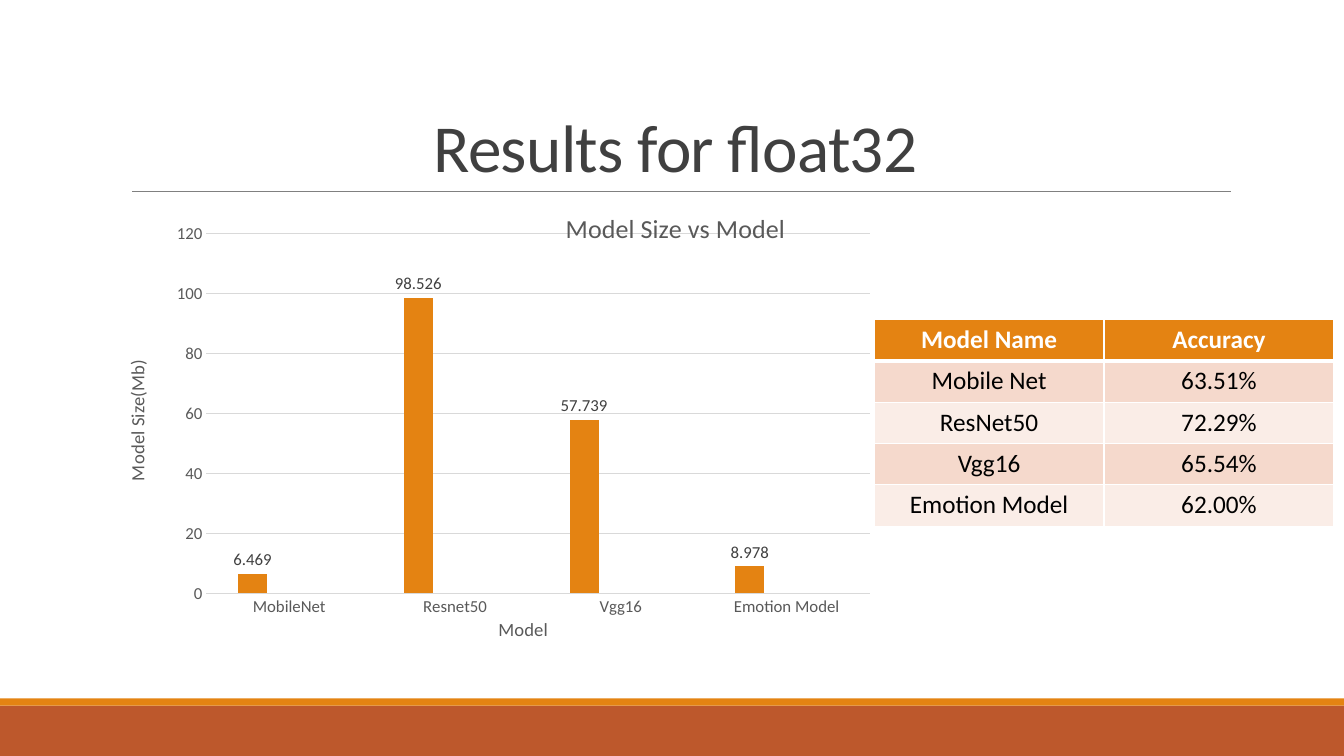
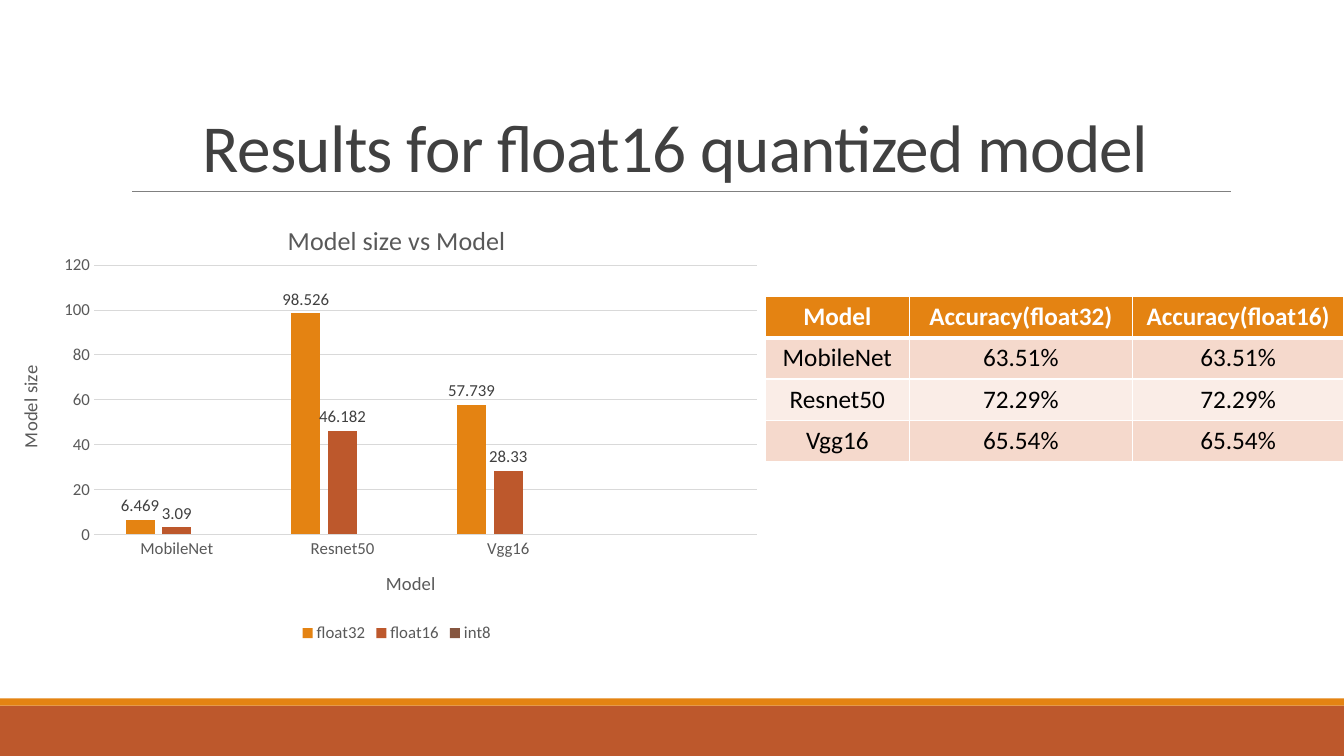
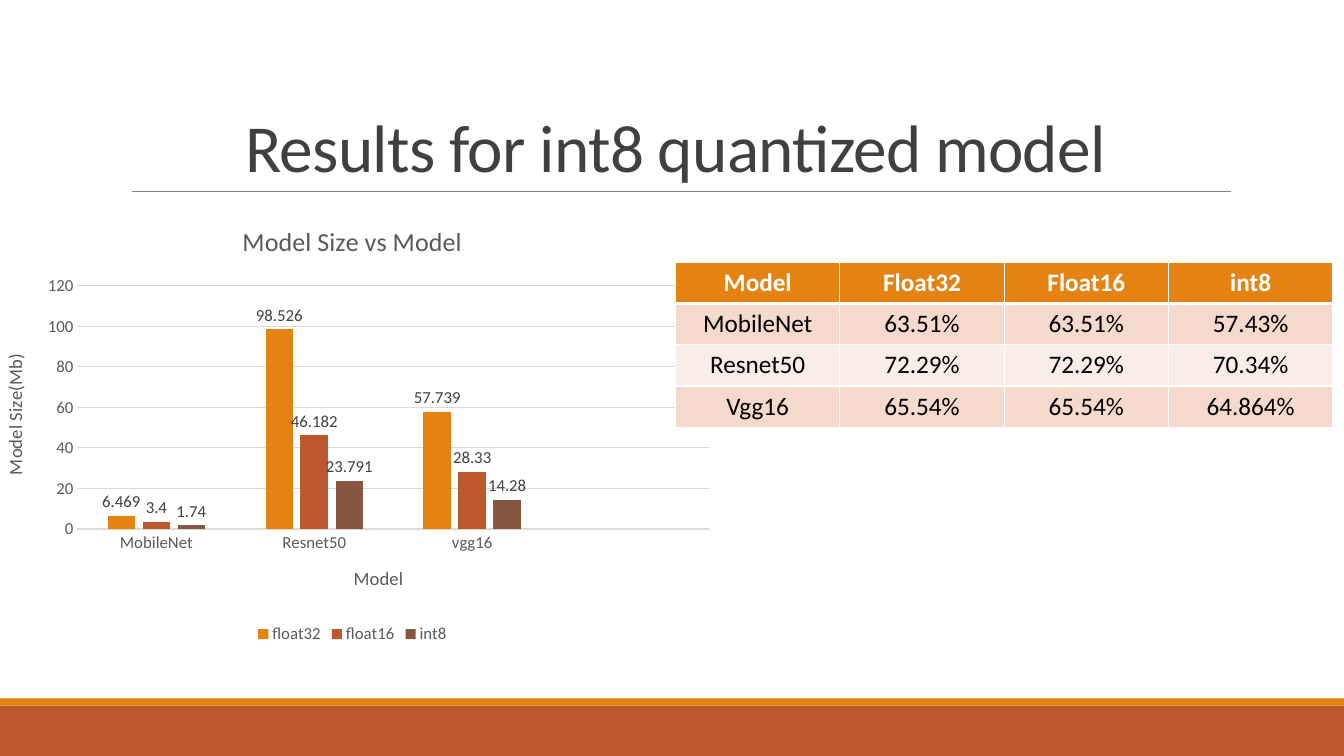
from dataclasses import dataclass
from pptx import Presentation
from pptx.chart.data import CategoryChartData
from pptx.dml.color import RGBColor
from pptx.enum.chart import XL_CHART_TYPE, XL_LABEL_POSITION, XL_LEGEND_POSITION, XL_TICK_MARK
from pptx.enum.shapes import MSO_CONNECTOR, MSO_SHAPE
from pptx.enum.text import MSO_ANCHOR, PP_ALIGN
from pptx.oxml.ns import qn
from pptx.util import Inches, Pt
from lxml.etree import SubElement, Element


@dataclass(frozen=True)
class Theme:
    font: str = "Calibri"
    orange: str = "E48312"
    rust: str = "BD582C"
    brown: str = "865640"
    band_dark: str = "F5D9CC"
    band_light: str = "FAEDE7"
    title: str = "404040"
    muted: str = "595959"
    rule: str = "808080"
    grid: str = "D9D9D9"
    white: str = "FFFFFF"
    black: str = "000000"
    title_size: float = 48
    table_size: float = 18
    chart_title_size: float = 18.6
    axis_title_size: float = 13.3
    label_size: float = 12


T = Theme()
W, H = 13.33, 7.5
ROW_H = 0.41


def rgb(value):
    return RGBColor.from_string(value)


def style_font(font, size, color, bold=False):
    font.name, font.size, font.bold = T.font, Pt(size), bold
    font.color.rgb = rgb(color)


# Shared frame: bottom bands, title and rule
def add_band(s, top, height, color):
    band = s.shapes.add_shape(MSO_SHAPE.RECTANGLE, 0, Inches(top), Inches(W), Inches(height))
    band.shadow.inherit = False
    band.fill.solid()
    band.fill.fore_color.rgb = rgb(color)
    band.line.fill.background()


def add_title(s, text, left, top, width, height):
    tf = s.shapes.add_textbox(Inches(left), Inches(top), Inches(width), Inches(height)).text_frame
    tf.word_wrap = True
    tf.vertical_anchor = MSO_ANCHOR.BOTTOM
    p = tf.paragraphs[0]
    p.text = text
    p.alignment = PP_ALIGN.CENTER
    p.line_spacing = 0.85
    r = p.runs[0]
    style_font(r.font, T.title_size, T.title)
    r.font._element.set("spc", "-50")

    bottom = Inches(top + height)
    rule = s.shapes.add_connector(MSO_CONNECTOR.STRAIGHT, Inches(left + 0.11), bottom,
                                  Inches(left + width + 0.01), bottom)
    rule.line.color.rgb = rgb(T.rule)
    rule.line.width = Pt(0.5)
    SubElement(rule._element.spPr, qn("a:effectLst"))


# Column chart
def set_chart_title(holder, text, size):
    tf = holder.text_frame
    tf.text = text
    style_font(tf.paragraphs[0].runs[0].font, size, T.muted)
    return tf


def style_axis(axis, title):
    axis.major_tick_mark = axis.minor_tick_mark = XL_TICK_MARK.NONE
    style_font(axis.tick_labels.font, T.label_size, T.muted)
    return set_chart_title(axis.axis_title, title, T.axis_title_size)


def set_plot_area(chart, box):
    area = chart._chartSpace.chart.plotArea
    for old in area.findall(qn("c:layout")):
        area.remove(old)
    layout = Element(qn("c:layout"))
    manual = SubElement(layout, qn("c:manualLayout"))
    settings = [("layoutTarget", "inner"), ("xMode", "edge"), ("yMode", "edge")]
    for tag, value in settings + list(zip("xywh", box)):
        SubElement(manual, qn(f"c:{tag}")).set("val", str(value))
    area.insert(0, layout)


def add_size_chart(s, box, title, value_title, categories, series, plot_box=None, legend=True):
    data = CategoryChartData()
    data.categories = categories
    for name, values in series:
        data.add_series(name, values)
    chart = s.shapes.add_chart(XL_CHART_TYPE.COLUMN_CLUSTERED, *map(Inches, box), data).chart
    style_font(chart.font, T.label_size, T.muted)
    set_chart_title(chart.chart_title, title, T.chart_title_size)

    style_axis(chart.category_axis, "Model")
    chart.category_axis.format.line.color.rgb = rgb(T.grid)
    chart.category_axis.format.line.width = Pt(0.75)
    axis = chart.value_axis
    tf = style_axis(axis, value_title)
    tf._txBody.bodyPr.set("rot", "-5400000")
    tf._txBody.bodyPr.set("vert", "horz")
    axis.minimum_scale, axis.maximum_scale, axis.major_unit = 0, 120, 20
    axis.format.line.fill.background()
    axis.major_gridlines.format.line.color.rgb = rgb(T.grid)
    axis.major_gridlines.format.line.width = Pt(0.75)

    plot = chart.plots[0]
    plot.gap_width, plot.overlap, plot.vary_by_categories = 219, -27, False
    for column, color in zip(plot.series, (T.orange, T.rust, T.brown)):
        column.format.fill.solid()
        column.format.fill.fore_color.rgb = rgb(color)
        column.invert_if_negative = False
        labels = column.data_labels
        labels.show_value = True
        labels.position = XL_LABEL_POSITION.OUTSIDE_END
        style_font(labels.font, T.label_size, T.title)

    chart.has_legend = legend
    if legend:
        chart.legend.position = XL_LEGEND_POSITION.BOTTOM
        chart.legend.include_in_layout = False
        style_font(chart.legend.font, T.label_size, T.muted)
    if plot_box:
        set_plot_area(chart, plot_box)


# Accuracy table
def set_borders(cell, top, bottom):
    tcPr = cell._tc.get_or_add_tcPr()
    for i, (side, width) in enumerate(zip("LRTB", (1, 1, top, bottom))):
        ln = Element(qn(f"a:ln{side}"), w=str(Pt(width)))
        fill = SubElement(ln, qn("a:solidFill"))
        SubElement(fill, qn("a:srgbClr")).set("val", T.white)
        tcPr.insert(i, ln)


def add_accuracy_table(s, left, top, widths, rows):
    table = s.shapes.add_table(len(rows), len(widths), Inches(left), Inches(top),
                               Inches(sum(widths)), Inches(ROW_H * len(rows))).table
    for col, width in zip(table.columns, widths):
        col.width = Inches(width)
    for i, values in enumerate(rows):
        header = i == 0
        table.rows[i].height = Inches(ROW_H)
        color = T.orange if header else (T.band_light, T.band_dark)[i % 2]
        for j, value in enumerate(values):
            cell = table.cell(i, j)
            cell.fill.solid()
            cell.fill.fore_color.rgb = rgb(color)
            set_borders(cell, 3 if i == 1 else 1, 3 if header else 1)
            p = cell.text_frame.paragraphs[0]
            p.text = value
            p.alignment = PP_ALIGN.CENTER
            style_font(p.runs[0].font, T.table_size, T.white if header else T.black, header)


def add_results_slide(prs, title, chart, table):
    s = prs.slides.add_slide(prs.slide_layouts[6])
    add_band(s, 7, 0.5, T.rust)
    add_band(s, 6.93, 0.07, T.orange)
    add_title(s, title, 1.2, 0.31, 11, 1.59)
    add_size_chart(s, **chart)
    add_accuracy_table(s, **table)


def main():
    prs = Presentation()
    prs.slide_width, prs.slide_height = Inches(W), Inches(H)
    empty = [None] * 4
    float32_sizes = [6.469, 98.526, 57.739, None]

    add_results_slide(
        prs, "Results for float32",
        chart=dict(box=(1.2, 1.9, 11, 4.52), title="Model Size vs Model",
                   value_title="Model Size(Mb)", legend=False,
                   plot_box=(0.077, 0.092, 0.598, 0.79),
                   categories=["MobileNet", "Resnet50", "Vgg16", "Emotion Model"],
                   series=[("Series 1", float32_sizes[:3] + [8.978]),
                           ("Series 2", empty), ("Series 3", empty)]),
        table=dict(left=8.67, top=3.17, widths=[2.28] * 2,
                   rows=[("Model Name", "Accuracy"), ("Mobile Net", "63.51%"),
                         ("ResNet50", "72.29%"), ("Vgg16", "65.54%"),
                         ("Emotion Model", "62.00%")]))

    add_results_slide(
        prs, "Results for float16 quantized model",
        chart=dict(box=(-0.08, 2.02, 8.03, 4.4), title="Model size vs Model",
                   value_title="Model size", plot_box=(0.126, 0.139, 0.819, 0.607),
                   categories=["MobileNet", "Resnet50", "Vgg16", ""],
                   series=[("float32", float32_sizes),
                           ("float16", [3.09, 46.182, 28.33, None]), ("int8", empty)]),
        table=dict(left=7.59, top=2.94, widths=[1.43, 2.21, 2.1],
                   rows=[("Model", "Accuracy(float32)", "Accuracy(float16)"),
                         ("MobileNet", "63.51%", "63.51%"),
                         ("Resnet50", "72.29%", "72.29%"),
                         ("Vgg16", "65.54%", "65.54%")]))

    add_results_slide(
        prs, "Results for int8 quantized model",
        chart=dict(box=(-0.19, 2.03, 7.37, 4.4), title="Model Size vs Model",
                   value_title="Model Size(Mb)",
                   categories=["MobileNet", "Resnet50", "vgg16", ""],
                   series=[("float32", float32_sizes),
                           ("float16", [3.4, 46.182, 28.33, None]),
                           ("int8", [1.74, 23.791, 14.28, None])]),
        table=dict(left=6.7, top=2.6, widths=[1.63] * 4,
                   rows=[("Model", "Float32", "Float16", "int8"),
                         ("MobileNet", "63.51%", "63.51%", "57.43%"),
                         ("Resnet50", "72.29%", "72.29%", "70.34%"),
                         ("Vgg16", "65.54%", "65.54%", "64.864%")]))
    prs.save("out.pptx")


if __name__ == "__main__":
    main()
